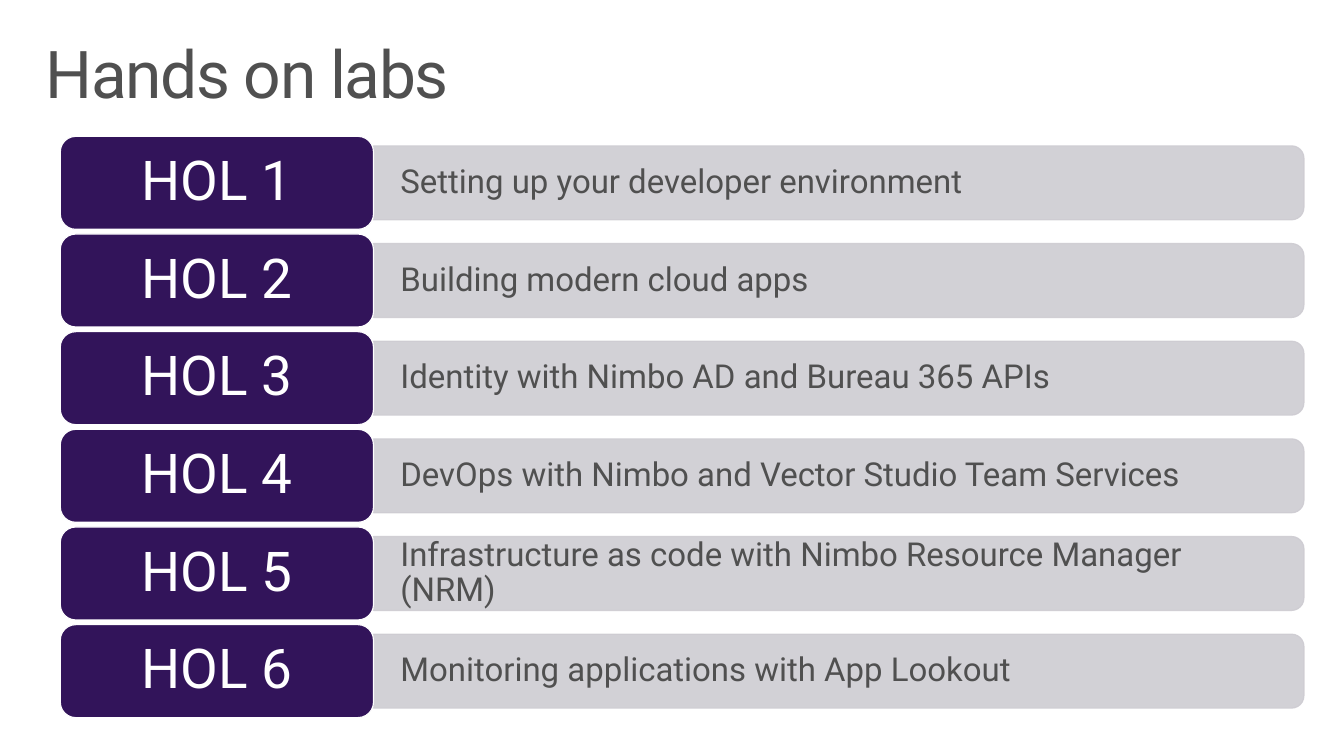
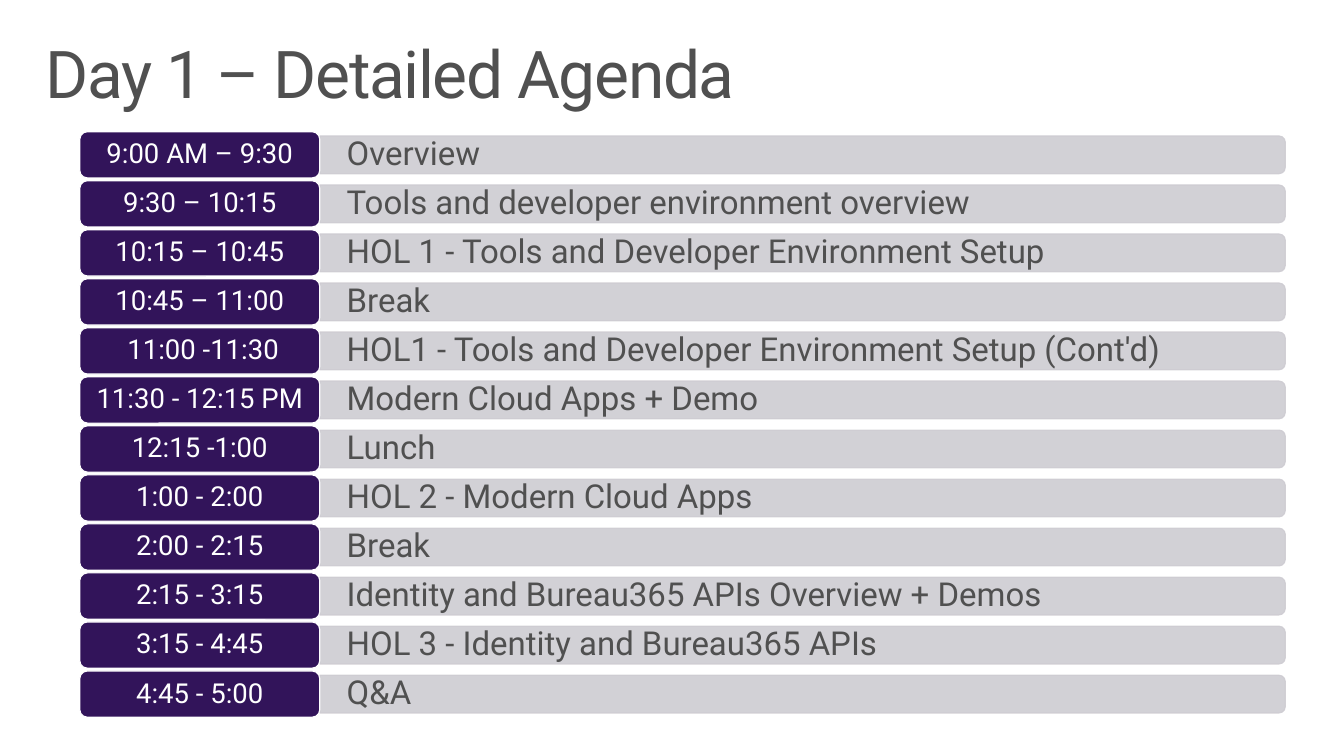
from pptx import Presentation
from pptx.dml.color import RGBColor
from pptx.enum.shapes import MSO_SHAPE as Shape
from pptx.enum.text import MSO_ANCHOR as Anchor, MSO_AUTO_SIZE as AutoSize, PP_ALIGN as Align
from pptx.oxml.ns import qn
from pptx.util import Cm, Pt
from lxml.etree import SubElement

PURPLE = RGBColor(0x32, 0x14, 0x5A)
SILVER = RGBColor(0xCE, 0xCC, 0xD2)
GRAY = RGBColor(0x50, 0x50, 0x50)
WHITE = RGBColor(0xFF, 0xFF, 0xFF)
FONT = "Roboto"
BAR_OPACITY = 90
TITLE_ONLY = 5

LABS = [
    ("HOL 1", "Setting up your developer environment"),
    ("HOL 2", "Building modern cloud apps"),
    ("HOL 3", "Identity with Nimbo AD and Bureau 365 APIs"),
    ("HOL 4", "DevOps with Nimbo and Vector Studio Team Services"),
    ("HOL 5", "Infrastructure as code with Nimbo Resource Manager (NRM)"),
    ("HOL 6", "Monitoring applications with App Lookout"),
]
AGENDA = [
    ("9:00 AM – 9:30", "Overview"),
    ("9:30 – 10:15", "Tools and developer environment overview"),
    ("10:15 – 10:45", "HOL 1 - Tools and Developer Environment Setup"),
    ("10:45 – 11:00", "Break"),
    (" 11:00 -11:30", "HOL1 - Tools and Developer Environment Setup (Cont'd)"),
    ("11:30 - 12:15 PM", "Modern Cloud Apps + Demo"),
    ("12:15 -1:00", "Lunch"),
    ("1:00 - 2:00", "HOL 2 - Modern Cloud Apps"),
    ("2:00 - 2:15", "Break"),
    ("2:15 - 3:15", "Identity and Bureau365 APIs Overview + Demos"),
    ("3:15 - 4:45", "HOL 3 - Identity and Bureau365 APIs"),
    ("4:45 - 5:00", "Q&A"),
]

# Lengths in centimetres; label_size in points
PAGES = [
    ("Hands on labs", LABS,
     dict(left=1.55, label_width=8.05, label_height=2.39, right=33.51,
          bar_height=1.9, first_middle=4.7, pitch=2.51, label_size=40)),
    ("Day 1 – Detailed Agenda", AGENDA,
     dict(left=2.05, label_width=6.17, label_height=1.19, right=33.03,
          bar_height=0.97, first_middle=3.98, pitch=1.26, label_size=20)),
]


def write(box, text, size, color, align, anchor, inset_x, inset_y=0):
    frame = box.text_frame
    frame_format = dict(
        text=text, word_wrap=True, auto_size=AutoSize.NONE, vertical_anchor=anchor,
        margin_left=Cm(inset_x), margin_right=Cm(inset_x),
        margin_top=Cm(inset_y), margin_bottom=Cm(inset_y))
    for name, value in frame_format.items():
        setattr(frame, name, value)
    para = frame.paragraphs[0]
    para.alignment = align
    para.line_spacing = 0.9
    span = para.runs[0]
    for name, value in dict(name=FONT, size=Pt(size)).items():
        setattr(span.font, name, value)
    span.font.color.rgb = color
    return span


def add_panel(page, kind, bounds, fill, line):
    panel = page.shapes.add_shape(kind, *(Cm(length) for length in bounds))
    panel.shadow.inherit = False
    panel.fill.solid()
    panel.fill.fore_color.rgb = fill
    panel.line.color.rgb = line
    panel.line.width = Pt(0.85)
    return panel


def add_bar(page, left, middle, width, height):
    """Add a translucent bar rounded at its right end only."""
    upright = (left + (width - height) / 2, middle - width / 2, height, width)
    bar = add_panel(page, Shape.ROUND_2_SAME_RECTANGLE, upright, SILVER, SILVER)
    bar.rotation = 90
    for color in bar._element.spPr.iter(qn("a:srgbClr")):
        SubElement(color, qn("a:alpha"), val=str(BAR_OPACITY * 1000))


def add_row(page, label, topic, middle, grid):
    split = grid["left"] + grid["label_width"]
    width, height = grid["right"] - split, grid["bar_height"]
    add_bar(page, split, middle, width, height)
    topic_bounds = (split, middle - height / 2, width, height)
    topic_box = page.shapes.add_textbox(*(Cm(length) for length in topic_bounds))
    write(topic_box, topic, 24, GRAY, Align.LEFT, Anchor.MIDDLE, 0.69)

    label_bounds = (grid["left"], middle - grid["label_height"] / 2,
                    grid["label_width"], grid["label_height"])
    label_box = add_panel(page, Shape.ROUNDED_RECTANGLE, label_bounds, PURPLE, WHITE)
    write(label_box, label, grid["label_size"], WHITE, Align.CENTER, Anchor.MIDDLE, 0.2)


def add_page(deck, title, rows, grid):
    page = deck.slides.add_slide(deck.slide_layouts[TITLE_ONLY])
    heading = page.shapes.title
    place = dict(left=0.76, top=0.81, width=33.02, height=2.54)
    for name, value in place.items():
        setattr(heading, name, Cm(value))
    span = write(heading, title, 48, GRAY, Align.LEFT, Anchor.TOP, 0.41, 0.25)
    span.font._element.set("spc", "-100")
    for index, (label, topic) in enumerate(rows):
        add_row(page, label, topic, grid["first_middle"] + index * grid["pitch"], grid)


def main():
    deck = Presentation()
    deck.slide_width, deck.slide_height = Cm(34.54), Cm(19.43)
    for title, rows, grid in PAGES:
        add_page(deck, title, rows, grid)
    deck.save("out.pptx")


if __name__ == "__main__":
    main()
